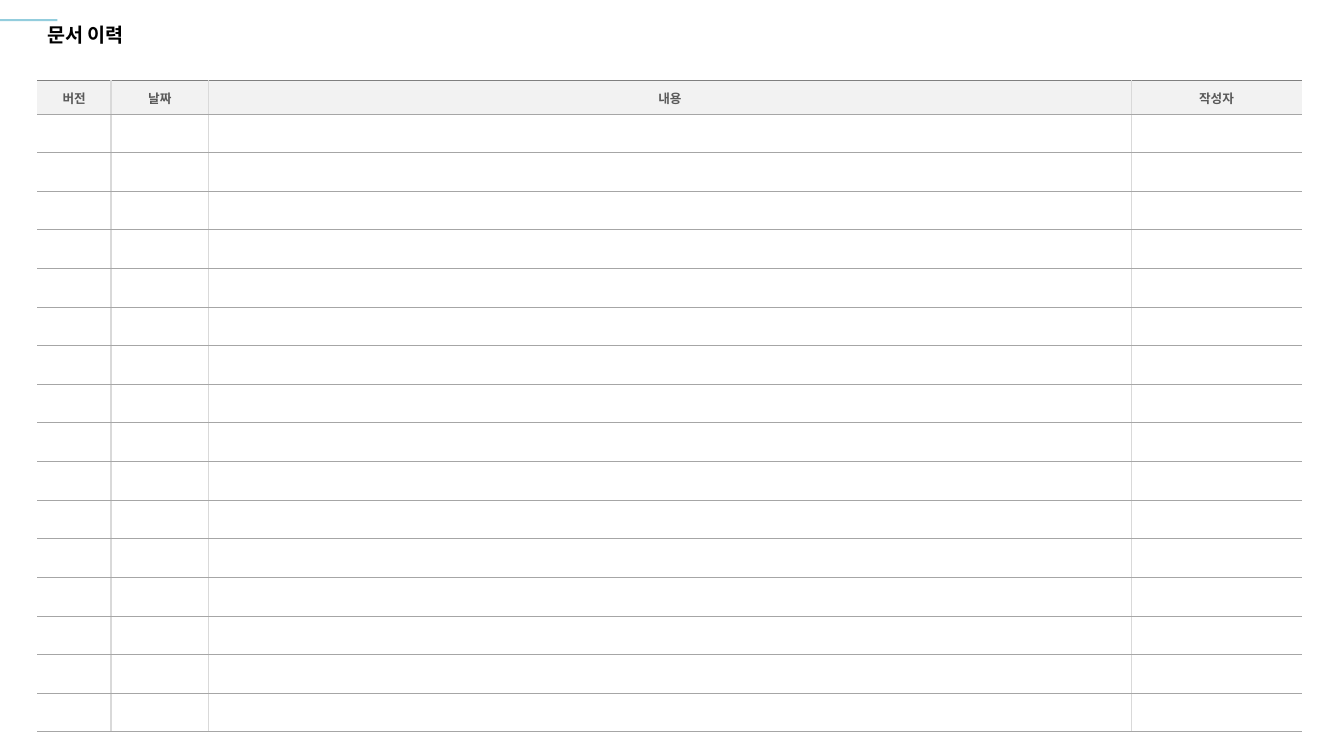
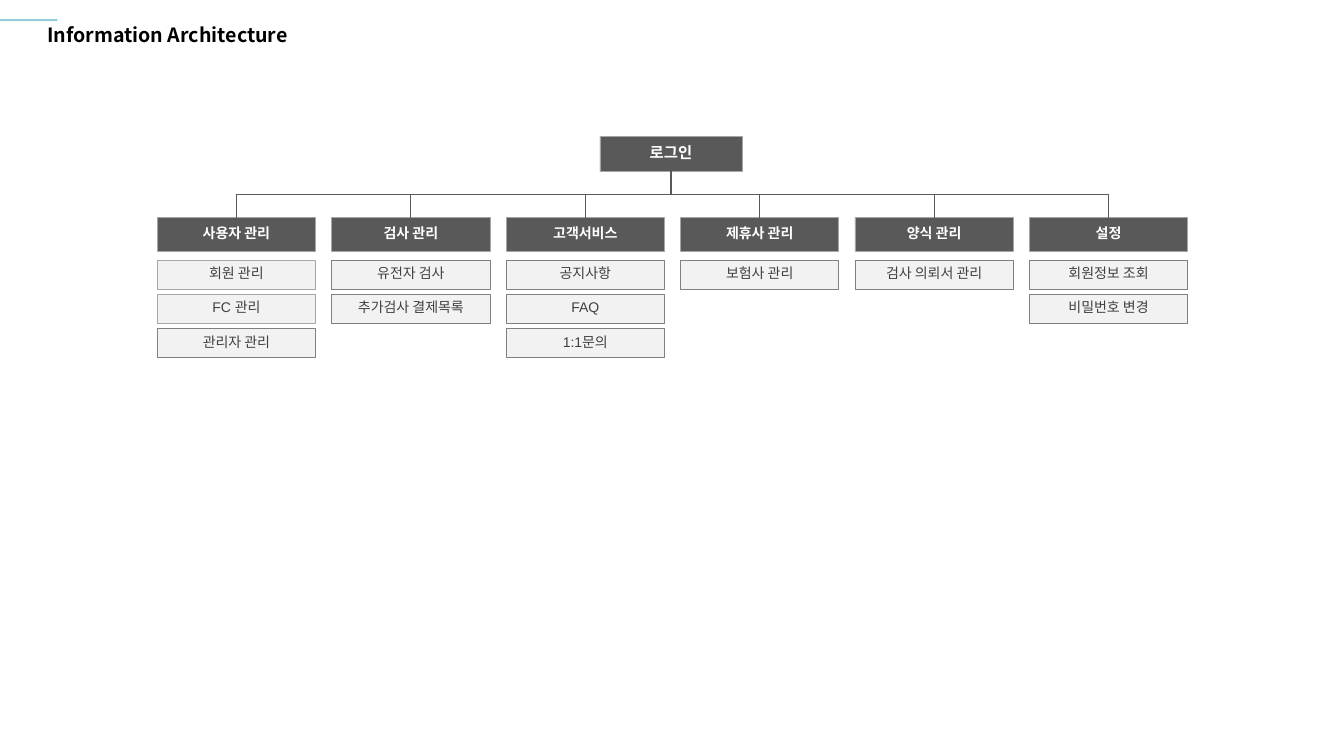
from dataclasses import dataclass

from lxml import etree
from pptx import Presentation
from pptx.dml.color import RGBColor
from pptx.enum.shapes import MSO_CONNECTOR, MSO_SHAPE
from pptx.enum.text import MSO_ANCHOR, PP_ALIGN
from pptx.oxml.ns import qn
from pptx.util import Inches, Pt

RECTANGLE = MSO_SHAPE.RECTANGLE
ELBOW = MSO_CONNECTOR.ELBOW
MIDDLE = MSO_ANCHOR.MIDDLE
CENTER = PP_ALIGN.CENTER

COLORS = {
    "accent": "93CDDD",
    "title": "000000",
    "white": "FFFFFF",
    "dark": "595959",
    "body": "404040",
    "panel": "F2F2F2",
    "grid": "D9D9D9",
    "pale_line": "A6A6A6",
    "line": "808080",
}
TITLE_FONT = "Noto Sans CJK KR"
BODY_FONT = "Arial"
MARGIN, CONTENT_WIDTH = 0.37, 12.53

# Document history table
TABLE_TOP, HEADER_HEIGHT, TABLE_HEIGHT = 0.8, 0.33, 6.46
BLANK_ROWS = 16
COLUMNS = (("버전", 0.73), ("날짜", 0.97), ("내용", 9.15), ("작성자", 1.69))

# Site map
BRANCH_LEFT, BRANCH_TOP, BRANCH_PITCH = 1.56, 2.16, 1.73
BRANCH_WIDTH, BRANCH_HEIGHT = 1.57, 0.33
ITEM_TOP, ITEM_PITCH, ITEM_HEIGHT = 2.58, 0.34, 0.29


@dataclass(frozen=True)
class TextStyle:
    """Look of a run of text."""
    size: float
    color: str
    bold: bool = False
    font: str = BODY_FONT


@dataclass(frozen=True)
class BoxStyle:
    """Look of a site map box."""
    fill: str
    line: str
    text: TextStyle


@dataclass(frozen=True)
class Branch:
    """A menu heading with its items, the first few outlined in pale grey."""
    heading: str
    items: tuple[str, ...]
    pale_items: int = 0


TITLE_TEXT = TextStyle(14, "title", True, TITLE_FONT)
HEADER_TEXT = TextStyle(9, "dark", True)
ITEM_TEXT = TextStyle(10, "body")
ROOT = BoxStyle("dark", "pale_line", TextStyle(11, "white", True))
HEADING = BoxStyle("dark", "pale_line", TextStyle(10, "white", True))
ITEM = BoxStyle("panel", "line", ITEM_TEXT)
PALE_ITEM = BoxStyle("panel", "pale_line", ITEM_TEXT)

BRANCHES = (
    Branch("사용자 관리", ("회원 관리", "FC 관리", "관리자 관리"), 2),
    Branch("검사 관리", ("유전자 검사", "추가검사 결제목록")),
    Branch("고객서비스", ("공지사항", "FAQ", "1:1문의")),
    Branch("제휴사 관리", ("보험사 관리",)),
    Branch("양식 관리", ("검사 의뢰서 관리",)),
    Branch("설정", ("회원정보 조회", "비밀번호 변경")),
)


def rgb(name: str) -> RGBColor:
    """Return a named colour."""
    return RGBColor.from_string(COLORS[name])


def write(frame, text: str, style: TextStyle, spacing: float = 1.0) -> None:
    """Put one styled paragraph in a text frame."""
    frame.text = text
    para = frame.paragraphs[0]
    para.line_spacing = spacing
    font = para.runs[0].font
    font.name, font.size, font.bold = style.font, Pt(style.size), style.bold
    font.color.rgb = rgb(style.color)


def add_page(deck, title: str):
    """Add a blank slide with the accent band and the title."""
    page = deck.slides.add_slide(deck.slide_layouts[6])
    band = page.shapes.add_shape(
        RECTANGLE, 0, Inches(0.19), Inches(0.57), Inches(0.02))
    band.shadow.inherit = False
    band.fill.solid()
    band.fill.fore_color.rgb = rgb("accent")
    band.line.fill.background()
    box = page.shapes.add_textbox(
        Inches(MARGIN), Inches(0.2), Inches(CONTENT_WIDTH), Inches(0.32))
    box.text_frame.word_wrap = True
    box.text_frame.vertical_anchor = MIDDLE
    write(box.text_frame, title, TITLE_TEXT, 0.9)
    return page


def set_borders(cell, borders: dict[str, tuple[str, float] | None]) -> None:
    """Draw the sides L, R, T and B of a cell; None leaves a side open."""
    properties = cell._tc.get_or_add_tcPr()
    for index, (side, border) in enumerate(borders.items()):
        line = etree.Element(qn(f"a:ln{side}"))
        properties.insert(index, line)
        if border is None:
            etree.SubElement(line, qn("a:noFill"))
            continue
        color, width = border
        line.set("w", str(Pt(width)))
        fill = etree.SubElement(line, qn("a:solidFill"))
        etree.SubElement(fill, qn("a:srgbClr"), val=COLORS[color])


def format_cell(cell, row: int, column: int) -> None:
    """Fill and outline a table cell according to its place."""
    cell.fill.solid()
    cell.fill.fore_color.rgb = rgb("white" if row else "panel")
    upright, rule = ("grid", 1), ("pale_line", 0.5)
    set_borders(cell, {
        "L": upright if column else None,
        "R": upright if column < len(COLUMNS) - 1 else None,
        "T": rule if row else ("line", 1),
        "B": rule,
    })


def add_history_table(page) -> None:
    """Add the version table with its header and blank rows."""
    table = page.shapes.add_table(
        BLANK_ROWS + 1, len(COLUMNS), Inches(MARGIN), Inches(TABLE_TOP),
        Inches(CONTENT_WIDTH), Inches(TABLE_HEIGHT)).table
    table.first_row = table.horz_banding = False
    blank_height = Inches((TABLE_HEIGHT - HEADER_HEIGHT) / BLANK_ROWS)
    for index, row in enumerate(table.rows):
        row.height = blank_height if index else Inches(HEADER_HEIGHT)
    for column, (label, width) in enumerate(COLUMNS):
        table.columns[column].width = Inches(width)
        header = table.cell(0, column)
        write(header.text_frame, label, HEADER_TEXT)
        header.text_frame.paragraphs[0].alignment = CENTER
        header.vertical_anchor = MIDDLE
        header.margin_top = header.margin_bottom = Inches(0.08)
        for row in range(BLANK_ROWS + 1):
            cell = table.cell(row, column)
            format_cell(cell, row, column)
            if row:
                para = cell.text_frame.paragraphs[0]
                etree.SubElement(para._p, qn("a:endParaRPr"), sz="900")


def add_box(page, text: str, left: float, top: float, width: float,
            height: float, style: BoxStyle):
    """Add a site map box with centred text."""
    box = page.shapes.add_shape(
        RECTANGLE, Inches(left), Inches(top), Inches(width), Inches(height))
    box.shadow.inherit = False
    box.fill.solid()
    box.fill.fore_color.rgb = rgb(style.fill)
    box.line.color.rgb = rgb(style.line)
    box.line.width = Pt(0.5)
    frame = box.text_frame
    frame.margin_left = frame.margin_right = 0
    frame.margin_top = frame.margin_bottom = 0
    frame.word_wrap = False
    frame.vertical_anchor = MIDDLE
    write(frame, text, style.text, 0.8)
    frame.paragraphs[0].alignment = CENTER
    return box


def link(page, parent, child) -> None:
    """Join a parent's bottom to a child's top, leaving vertically."""
    start_x, start_y = parent.left + parent.width // 2, parent.top + parent.height
    end_x, end_y = child.left + child.width // 2, child.top
    connector = page.shapes.add_connector(ELBOW, start_x, start_y, end_x, end_y)
    connector.begin_connect(parent, 2)
    connector.end_connect(child, 0)
    # The elbow runs sideways by default, so its frame is turned a quarter.
    drop, reach = end_y - start_y, abs(end_x - start_x)
    connector.left = (start_x + end_x - drop) // 2
    connector.top = (start_y + end_y - reach) // 2
    connector.width, connector.height = drop, reach
    rightward = end_x > start_x
    properties = connector._element.spPr
    transform = properties.find(qn("a:xfrm"))
    transform.set("rot", str((270 if rightward else 90) * 60000))
    transform.set("flipH", "1" if rightward else "0")
    transform.set("flipV", "0")
    connector.line.color.rgb = rgb("dark")
    connector.line.width = Pt(0.75)
    etree.SubElement(properties, qn("a:effectLst"))


def add_site_map(page) -> None:
    """Add the root box, the branches and their items."""
    root = add_box(page, "로그인", 5.95, 1.35, 1.41, 0.35, ROOT)
    for column, branch in enumerate(BRANCHES):
        left = BRANCH_LEFT + column * BRANCH_PITCH
        heading = add_box(page, branch.heading, left, BRANCH_TOP,
                          BRANCH_WIDTH, BRANCH_HEIGHT, HEADING)
        link(page, root, heading)
        for row, item in enumerate(branch.items):
            style = PALE_ITEM if row < branch.pale_items else ITEM
            add_box(page, item, left, ITEM_TOP + row * ITEM_PITCH,
                    BRANCH_WIDTH, ITEM_HEIGHT, style)


def main() -> None:
    """Build and save the deck."""
    deck = Presentation()
    deck.slide_width, deck.slide_height = Inches(13.33), Inches(7.5)
    add_history_table(add_page(deck, "문서 이력"))
    add_site_map(add_page(deck, "Information Architecture"))
    deck.save("out.pptx")


main()
